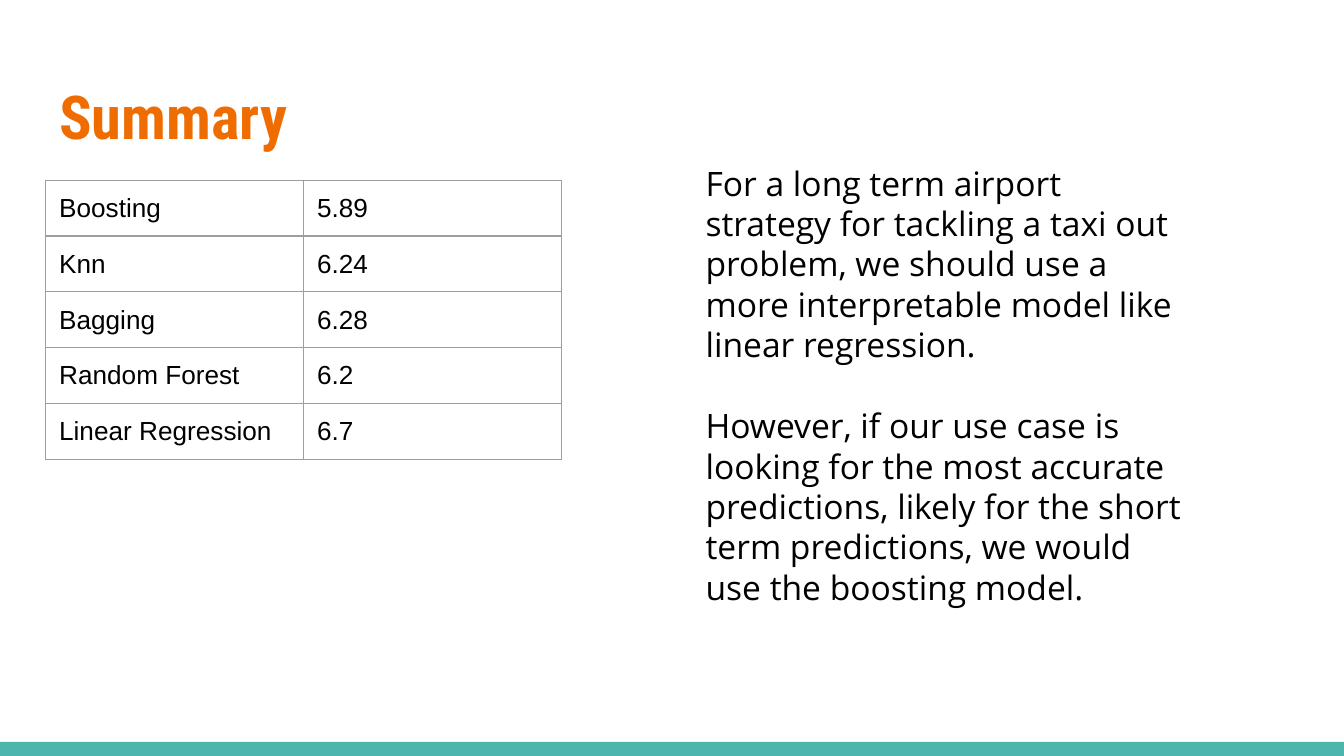
from dataclasses import dataclass

from lxml import etree
from pptx import Presentation
from pptx.dml.color import RGBColor
from pptx.enum import shapes, text
from pptx.oxml import ns
from pptx.util import Inches, Pt

HUES = {"bar": "4DB6AC", "title": "EF6C00", "text": "000000", "grid": "9E9E9E"}


@dataclass
class Box:
    left: float
    top: float
    width: float
    height: float

    def lengths(self) -> list:
        return [Inches(n) for n in (self.left, self.top, self.width, self.height)]


@dataclass
class Score:
    model: str
    error: str


SCORES = [
    Score("Boosting", "5.89"),
    Score("Knn", "6.24"),
    Score("Bagging", "6.28"),
    Score("Random Forest", "6.2"),
    Score("Linear Regression", "6.7"),
]
ADVICE = [
    "For a long term airport strategy for tackling a taxi out problem, "
    "we should use a more interpretable model like linear regression.",
    "However, if our use case is looking for the most accurate predictions, "
    "likely for the short term predictions, we would use the boosting model.",
]


def style(para, face: str, size: float, hue: str, bold: bool = False) -> None:
    font = para.font
    font.name, font.size, font.bold = face, Pt(size), bold
    font.color.rgb = RGBColor.from_string(HUES[hue])
    para.alignment = text.PP_ALIGN.LEFT


def pad(item, foot: float = 0.1) -> None:
    item.margin_left = item.margin_right = item.margin_top = Inches(0.1)
    item.margin_bottom = Inches(foot)


def place(holder, box: Box, fit):
    holder.left, holder.top, holder.width, holder.height = box.lengths()
    frame = holder.text_frame
    pad(frame)
    frame.word_wrap = True
    frame.auto_size = fit
    frame.vertical_anchor = text.MSO_ANCHOR.TOP
    return frame


def edge(cell) -> None:
    props = cell._tc.get_or_add_tcPr()
    for side in ("lnL", "lnR", "lnT", "lnB"):
        line = etree.SubElement(props, ns.qn(f"a:{side}"), w=str(Pt(0.75)))
        fill = etree.SubElement(line, ns.qn("a:solidFill"))
        etree.SubElement(fill, ns.qn("a:srgbClr"), val=HUES["grid"])


def draw_table(slide, box: Box, scores: list[Score]) -> None:
    table = slide.shapes.add_table(len(scores), 2, *box.lengths()).table
    table.first_row = table.horz_banding = False
    for row, score in enumerate(scores):
        for col, value in enumerate((score.model, score.error)):
            cell = table.cell(row, col)
            cell.text = value
            # A smaller foot keeps the text from stretching the row
            pad(cell, foot=0.08)
            edge(cell)
            cell.fill.background()
            style(cell.text_frame.paragraphs[0], "Arial", 14, "text")


def main() -> None:
    # Wide 16:9 slide
    deck = Presentation()
    deck.slide_width = Inches(10)
    deck.slide_height = deck.slide_width * 9 // 16
    slide = deck.slides.add_slide(deck.slide_layouts[1])

    # Bottom bar
    bar = slide.shapes.add_shape(
        shapes.MSO_SHAPE.RECTANGLE, *Box(0, 5.52, 10, 0.11).lengths())
    bar.fill.solid()
    bar.fill.fore_color.rgb = RGBColor.from_string(HUES["bar"])
    bar.line.fill.background()
    bar.shadow.inherit = False

    # Title
    frame = place(slide.shapes.title, Box(0.34, 0.49, 9.32, 0.77),
                  text.MSO_AUTO_SIZE.NONE)
    frame.text = "Summary"
    style(frame.paragraphs[0], "Roboto Condensed", 32.4, "title", True)

    # Model scores
    draw_table(slide, Box(0.34, 1.34, 3.84, 2.08), SCORES)

    # Advice
    frame = place(slide.placeholders[1], Box(5.15, 1.11, 3.75, 3.84),
                  text.MSO_AUTO_SIZE.SHAPE_TO_FIT_TEXT)
    frame.text = "\n".join(ADVICE)
    for rank, para in enumerate(frame.paragraphs):
        style(para, "Open Sans", 18, "text")
        para.space_before = Pt(22 * rank)
        props = para._p.get_or_add_pPr()
        props.set("marL", "0")
        props.set("indent", "0")
        etree.SubElement(props, ns.qn("a:buNone"))
        # Bullet settings come before the default run font
        props.append(props.find(ns.qn("a:defRPr")))

    deck.save("out.pptx")


if __name__ == "__main__":
    main()
